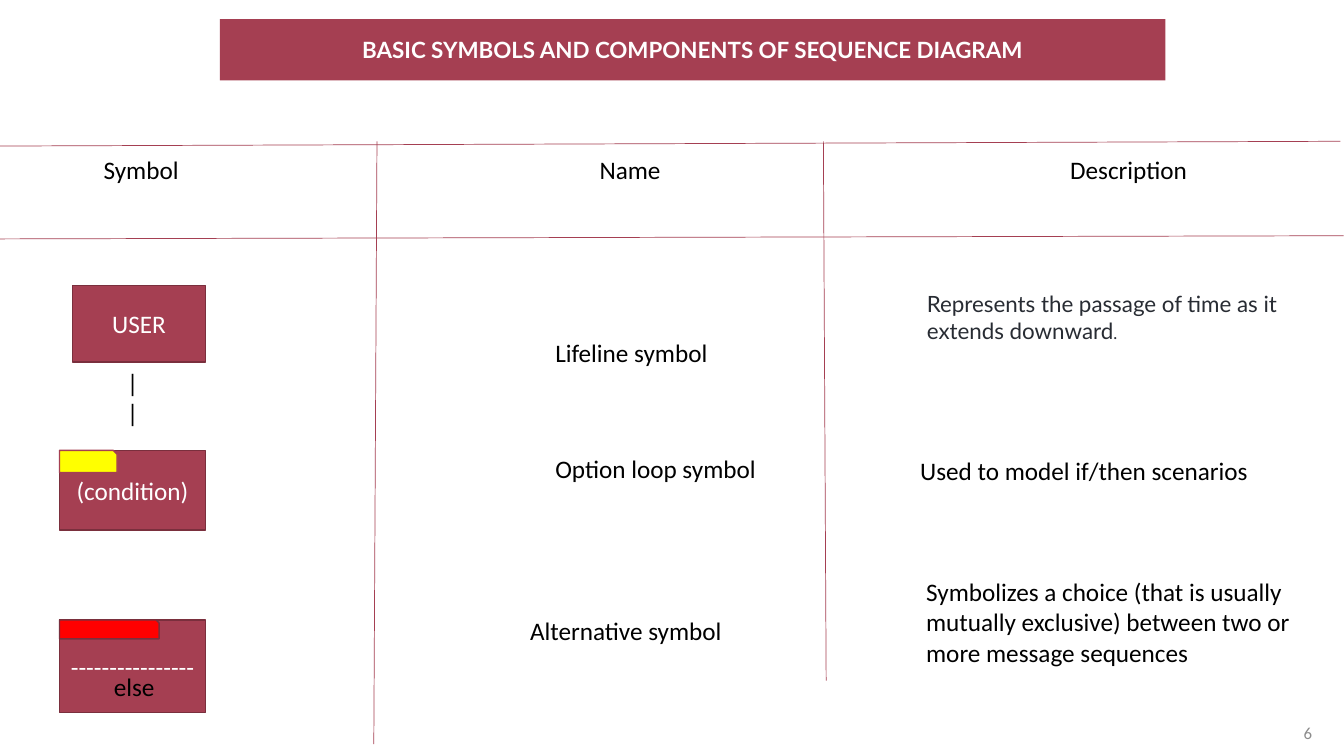
"""Build a slide listing the basic symbols of a sequence diagram."""
from dataclasses import dataclass

from lxml import etree
from pptx import Presentation
from pptx.dml.color import RGBColor
from pptx.enum.shapes import MSO_CONNECTOR, MSO_SHAPE
from pptx.enum.text import MSO_ANCHOR, PP_ALIGN
from pptx.oxml.ns import qn
from pptx.slide import Slide
from pptx.text.text import TextFrame
from pptx.util import Cm, Pt

RECTANGLE = MSO_SHAPE.RECTANGLE
SNIPPED = MSO_SHAPE.SNIP_1_RECTANGLE
STRAIGHT = MSO_CONNECTOR.STRAIGHT
LEFT, CENTER, RIGHT = PP_ALIGN.LEFT, PP_ALIGN.CENTER, PP_ALIGN.RIGHT
TOP, MIDDLE = MSO_ANCHOR.TOP, MSO_ANCHOR.MIDDLE

MAROON = RGBColor(0xA5, 0x3F, 0x52)
DARK_MAROON = RGBColor(0x7A, 0x2F, 0x3D)
YELLOW = RGBColor(0xFF, 0xFF, 0x00)
RED = RGBColor(0xFF, 0x00, 0x00)
WHITE = RGBColor(0xFF, 0xFF, 0xFF)
BLACK = RGBColor(0x00, 0x00, 0x00)
CHARCOAL = RGBColor(0x28, 0x2C, 0x33)
GRAY = RGBColor(0x8C, 0x8C, 0x8C)


@dataclass(frozen=True)
class Box:
    left: float
    top: float
    width: float
    height: float

    def lengths(self) -> tuple[Cm, Cm, Cm, Cm]:
        return Cm(self.left), Cm(self.top), Cm(self.width), Cm(self.height)


@dataclass(frozen=True)
class Style:
    size: float = 18
    color: RGBColor = BLACK
    font: str = "Calibri"
    bold: bool = False


BODY = Style()
INVERSE = Style(color=WHITE)
TITLE = Style(16, WHITE, "Lato", True)
PASSAGE = Style(16, CHARCOAL, "Lato")
PASSAGE_END = Style(12, CHARCOAL, "Lato")
PAGE_NUMBER = Style(12, GRAY)


@dataclass(frozen=True)
class Run:
    text: str
    style: Style = BODY


@dataclass(frozen=True)
class Label:
    box: Box
    paragraphs: tuple[tuple[Run, ...], ...]
    align: PP_ALIGN = LEFT
    anchor: MSO_ANCHOR = TOP
    wrap: bool = True


@dataclass(frozen=True)
class Block:
    box: Box
    fill: RGBColor
    outline: RGBColor | None = DARK_MAROON
    run: Run | None = None
    preset: MSO_SHAPE = RECTANGLE


@dataclass(frozen=True)
class NameCell:
    box: Box
    run: Run
    margin_top: float


@dataclass(frozen=True)
class Rule:
    start: tuple[float, float]
    end: tuple[float, float]


BLOCKS = (
    Block(Box(5.54, 0.48, 23.83, 1.55), MAROON, None,
          Run("BASIC SYMBOLS AND COMPONENTS OF SEQUENCE DIAGRAM", TITLE)),
    Block(Box(1.83, 7.19, 3.35, 1.93), MAROON, run=Run("USER", INVERSE)),
    Block(Box(1.5, 11.35, 3.68, 2.01), MAROON, run=Run("(condition)", INVERSE)),
    Block(Box(1.5, 11.35, 1.45, 0.56), YELLOW, MAROON, preset=SNIPPED),
    Block(Box(1.5, 15.62, 3.68, 2.34), MAROON, run=Run("-" * 16, INVERSE)),
    Block(Box(1.5, 15.62, 2.51, 0.48), RED, preset=SNIPPED),
)

LABELS = (
    Label(Box(2.36, 3.76, 4, 1.03), ((Run("Symbol"),),)),
    Label(Box(14.86, 3.76, 4, 1.03), ((Run("Name"),),)),
    Label(Box(26.72, 3.76, 4, 1.03), ((Run("Description"),),)),
    Label(Box(2.95, 9.12, 1.04, 1.8), ((Run("|"),), (Run("|"),))),
    Label(Box(2.62, 16.79, 1.55, 1.03), ((Run("else"),),), wrap=False),
    Label(Box(13.11, 15.37, 5.38, 1.03), ((Run("Alternative symbol"),),), wrap=False),
    Label(Box(23.11, 7.19, 10.46, 1.63),
          ((Run("Represents the passage of time as it extends downward", PASSAGE),
            Run(".", PASSAGE_END)),)),
    Label(Box(22.94, 11.35, 10.6, 1.03), ((Run("Used to model if/then scenarios"),),)),
    Label(Box(23.09, 14.4, 10.31, 2.57),
          ((Run("Symbolizes a choice (that is usually mutually exclusive) "
                "between two or more message sequences"),),)),
    Label(Box(32.08, 17.96, 1.24, 1.02), ((Run("6", PAGE_NUMBER),),), RIGHT, MIDDLE),
)

NAME_CELLS = (
    NameCell(Box(13.74, 7.67, 6.6, 2.26), Run("Lifeline symbol"), 0.86),
    NameCell(Box(13.74, 11.35, 7.39, 1.5), Run("Option loop symbol"), 0.1),
)

RULES = (
    Rule((0, 3.68), (33.78, 3.56)),
    Rule((0, 6.02), (33.86, 5.94)),
    Rule((9.42, 18.75), (9.5, 3.56)),
    Rule((20.82, 17.15), (20.75, 3.56)),
)


def write_text(frame: TextFrame, paragraphs: tuple[tuple[Run, ...], ...],
               align: PP_ALIGN) -> None:
    for index, runs in enumerate(paragraphs):
        paragraph = frame.add_paragraph() if index else frame.paragraphs[0]
        paragraph.alignment = align
        for item in runs:
            run = paragraph.add_run()
            run.text = item.text
            run.font.name = item.style.font
            run.font.size = Pt(item.style.size)
            run.font.bold = item.style.bold
            run.font.color.rgb = item.style.color


def draw_block(slide: Slide, block: Block) -> None:
    shape = slide.shapes.add_shape(block.preset, *block.box.lengths())
    shape.shadow.inherit = False
    shape.fill.solid()
    shape.fill.fore_color.rgb = block.fill
    if block.outline is None:
        shape.line.fill.background()
    else:
        shape.line.color.rgb = block.outline
        shape.line.width = Pt(1)
    if block.run:
        shape.text_frame.vertical_anchor = MIDDLE
        write_text(shape.text_frame, ((block.run,),), CENTER)


def draw_label(slide: Slide, label: Label) -> None:
    frame = slide.shapes.add_textbox(*label.box.lengths()).text_frame
    frame.word_wrap = label.wrap
    frame.vertical_anchor = label.anchor
    write_text(frame, label.paragraphs, label.align)


def draw_name_cell(slide: Slide, name_cell: NameCell) -> None:
    table = slide.shapes.add_table(1, 1, *name_cell.box.lengths()).table
    table.first_row = False
    table.horz_banding = False
    cell = table.cell(0, 0)
    cell.fill.background()
    cell.vertical_anchor = MIDDLE
    cell.margin_top = Cm(name_cell.margin_top)
    cell.margin_right = cell.margin_bottom = Cm(0.64)
    write_text(cell.text_frame, ((name_cell.run,),), LEFT)


def draw_rule(slide: Slide, rule: Rule) -> None:
    points = [Cm(value) for value in (*rule.start, *rule.end)]
    connector = slide.shapes.add_connector(STRAIGHT, *points)
    connector.line.color.rgb = MAROON
    connector.line.width = Pt(0.5)
    etree.SubElement(connector._element.spPr, qn("a:effectLst"))


def main() -> None:
    presentation = Presentation()
    presentation.slide_width, presentation.slide_height = Cm(33.87), Cm(19.05)
    slide = presentation.slides.add_slide(presentation.slide_layouts[6])
    for items, draw in ((BLOCKS, draw_block), (LABELS, draw_label),
                        (NAME_CELLS, draw_name_cell), (RULES, draw_rule)):
        for item in items:
            draw(slide, item)
    presentation.save("out.pptx")


if __name__ == "__main__":
    main()
